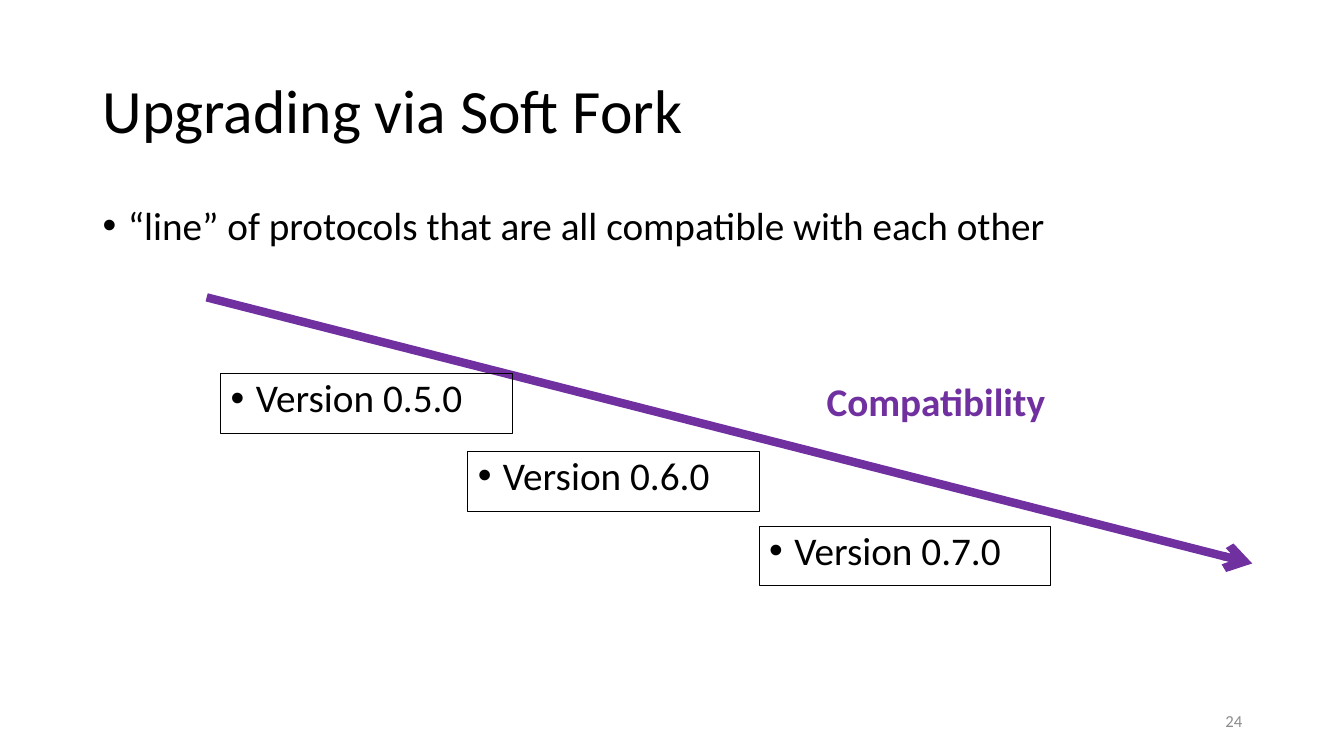
import pptx
import pptx.dml.color
import pptx.enum.shapes
import pptx.enum.text
import pptx.oxml
import pptx.oxml.ns
import pptx.util
from pptx.util import Inches

COLORS = {"text": "000000", "accent": "7030A0", "number": "8C8C8C"}
ALIGN = pptx.enum.text.PP_ALIGN
ANCHOR = pptx.enum.text.MSO_ANCHOR
NS = pptx.oxml.ns.nsdecls("a")


def rgb(name):
    return pptx.dml.color.RGBColor.from_string(COLORS[name])


def add_text(sp, text, size, color="text", bold=False, bullet=False,
             anchor=ANCHOR.TOP, align=ALIGN.LEFT, spacing=0.9, before=0):
    """Write one paragraph into a shape, with a hanging bullet if asked."""
    tf = sp.text_frame
    tf.word_wrap = True
    tf.vertical_anchor = anchor
    p = tf.paragraphs[0]
    p.alignment = align
    p.line_spacing = spacing
    p.space_before = pptx.util.Pt(before)
    if bullet:
        pPr = p._p.get_or_add_pPr()
        pPr.set("marL", str(Inches(0.25)))
        pPr.set("indent", str(Inches(-0.25)))
        pPr.append(pptx.oxml.parse_xml(f'<a:buFont {NS} typeface="Arial"/>'))
        pPr.append(pptx.oxml.parse_xml(f'<a:buChar {NS} char="•"/>'))
    r = p.add_run()
    r.text = text
    r.font.name = "Calibri"
    r.font.size = pptx.util.Pt(size)
    r.font.bold = bold
    r.font.color.rgb = rgb(color)


prs = pptx.Presentation()
prs.slide_width = Inches(13.33)
prs.slide_height = Inches(7.5)
s = prs.slides.add_slide(prs.slide_layouts[6])

# Title, statement and slide number
title = s.shapes.add_textbox(Inches(0.92), Inches(0.4), Inches(11.5), Inches(1.45))
add_text(title, "Upgrading via Soft Fork", 44, anchor=ANCHOR.MIDDLE)

body = s.shapes.add_textbox(Inches(0.92), Inches(2), Inches(11.5), Inches(4.76))
add_text(body, "“line” of protocols that are all compatible with each other", 28,
         bullet=True, before=10)

number = s.shapes.add_textbox(Inches(9.42), Inches(6.95), Inches(3), Inches(0.4))
add_text(number, "24", 12, "number", anchor=ANCHOR.MIDDLE, align=ALIGN.RIGHT, spacing=1.0)

# Compatibility arrow
arrow = s.shapes.add_connector(pptx.enum.shapes.MSO_CONNECTOR.STRAIGHT,
                               Inches(2.05), Inches(2.95), Inches(12.42), Inches(5.59))
arrow.line.color.rgb = rgb("accent")
arrow.line.width = pptx.util.Pt(6)
arrow.line._get_or_add_ln().append(pptx.oxml.parse_xml(f'<a:tailEnd {NS} type="arrow"/>'))
arrow._element.spPr.append(pptx.oxml.parse_xml(f"<a:effectLst {NS}/>"))

# Protocol versions, stepping down along the arrow
versions = [("0.5.0", 2.19, 3.71), ("0.6.0", 4.64, 4.48), ("0.7.0", 7.53, 5.22)]
for version, left, top in versions:
    sp = s.shapes.add_shape(pptx.enum.shapes.MSO_SHAPE.RECTANGLE,
                            Inches(left), Inches(top), Inches(2.89), Inches(0.59))
    sp.shadow.inherit = False
    sp.fill.background()
    sp.line.color.rgb = rgb("text")
    sp.line.width = pptx.util.Pt(0.75)
    add_text(sp, f"Version {version}", 28, bullet=True, before=10)

label = s.shapes.add_textbox(Inches(8.1), Inches(3.75), Inches(2.89), Inches(0.59))
add_text(label, "Compatibility", 28, "accent", bold=True, before=10)

prs.save("out.pptx")
